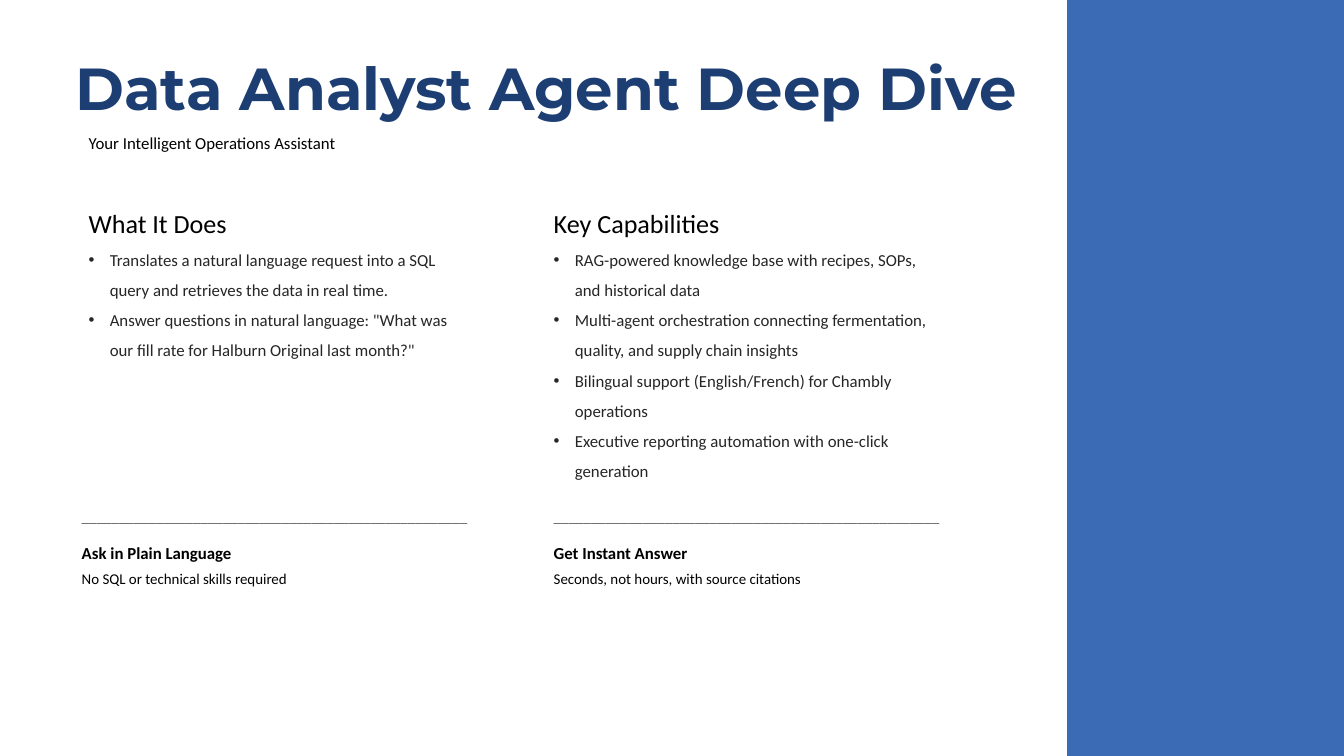
from lxml.etree import SubElement
from pptx import Presentation
from pptx.dml.color import RGBColor
from pptx.enum.shapes import MSO_SHAPE as Shape
from pptx.enum.text import MSO_AUTO_SIZE as AutoSize
from pptx.oxml.ns import qn
from pptx.util import Cm, Pt

COLORS = {
    "panel": "3A6BB4",
    "title": "1D3E73",
    "text": "000000",
    "bullet": "272525",
    "rule": "595959",
}
SLIDE_WIDTH, SLIDE_HEIGHT = 50.8, 28.58
PANEL_LEFT = 40.34
MARGIN, INDENTED, RIGHT_COLUMN = 2.84, 3.1, 20.68
LABEL_WIDTH = 17.58
BULLET_INDENT = 0.8

TOPICS = [
    (INDENTED, 6.55, "What It Does", [
        "Translates a natural language request into a SQL query and retrieves "
        "the data in real time.",
        "Answer questions in natural language: \"What was our fill rate for "
        "Halburn Original last month?\"",
    ]),
    (RIGHT_COLUMN, 11.18, "Key Capabilities", [
        "RAG-powered knowledge base with recipes, SOPs, and historical data",
        "Multi-agent orchestration connecting fermentation, quality, and "
        "supply chain insights",
        "Bilingual support (English/French) for Chambly operations",
        "Executive reporting automation with one-click generation",
    ]),
]
BENEFITS = [
    (MARGIN, "Ask in Plain Language", "No SQL or technical skills required"),
    (RIGHT_COLUMN, "Get Instant Answer",
     "Seconds, not hours, with source citations"),
]


def add_panel(page):
    panel = page.shapes.add_shape(
        Shape.RECTANGLE, Cm(PANEL_LEFT), 0,
        Cm(SLIDE_WIDTH - PANEL_LEFT), Cm(SLIDE_HEIGHT))
    panel.shadow.inherit = False
    panel.fill.solid()
    panel.fill.fore_color.rgb = RGBColor.from_string(COLORS["panel"])
    panel.line.fill.background()


def add_box(page, left, top, width, height):
    box = page.shapes.add_textbox(Cm(left), Cm(top), Cm(width), Cm(height))
    box.text_frame.word_wrap = True
    box.text_frame.auto_size = AutoSize.SHAPE_TO_FIT_TEXT
    return box.text_frame


def style(para, size, color="text", bold=False, face="Calibri"):
    for span in para.runs:
        span.font.name = face
        span.font.size = Pt(size)
        span.font.bold = bold
        span.font.color.rgb = RGBColor.from_string(COLORS[color])


def add_title(page, text):
    frame = add_box(page, MARGIN, 2.13, 36.55, 2.49)
    frame.margin_left = frame.margin_right = 0
    frame.margin_top = frame.margin_bottom = 0
    frame.text = text
    para = frame.paragraphs[0]
    para.line_spacing = Pt(70.4)
    style(para, 63.5, "title", True, "Montserrat")


def add_label(page, left, top, text, size, color="text", bold=False):
    frame = add_box(page, left, top, LABEL_WIDTH, 1)
    frame.text = text
    style(frame.paragraphs[0], size, color, bold)


def add_bullet(para):
    """Give the paragraph a hanging round bullet."""
    props = para._p.get_or_add_pPr()
    props.set("marL", str(Cm(BULLET_INDENT)))
    props.set("indent", str(-Cm(BULLET_INDENT)))
    SubElement(props, qn("a:buFont"), typeface="Arial")
    SubElement(props, qn("a:buChar"), char="•")


def add_topic(page, left, height, heading, points):
    frame = add_box(page, left, 7.14, 14.73, height)
    frame.text = "\n".join([heading, *points])
    first, *rest = frame.paragraphs
    style(first, 28)
    for para in rest:
        add_bullet(para)
        style(para, 18, "bullet")
    for para in frame.paragraphs:
        para.line_spacing = 1.5


def add_benefit(page, left, heading, detail):
    add_label(page, left, 19.05, "_" * 52, 16, "rule")
    add_label(page, left, 20.4, heading, 18, bold=True)
    add_label(page, left, 21.41, detail, 16)


def main():
    deck = Presentation()
    deck.slide_width, deck.slide_height = Cm(SLIDE_WIDTH), Cm(SLIDE_HEIGHT)
    page = deck.slides.add_slide(deck.slide_layouts[6])
    add_panel(page)
    add_title(page, "Data Analyst Agent Deep Dive")
    add_label(page, INDENTED, 4.9, "Your Intelligent Operations Assistant", 18)
    for topic in TOPICS:
        add_topic(page, *topic)
    for benefit in BENEFITS:
        add_benefit(page, *benefit)
    deck.save("out.pptx")


if __name__ == "__main__":
    main()
